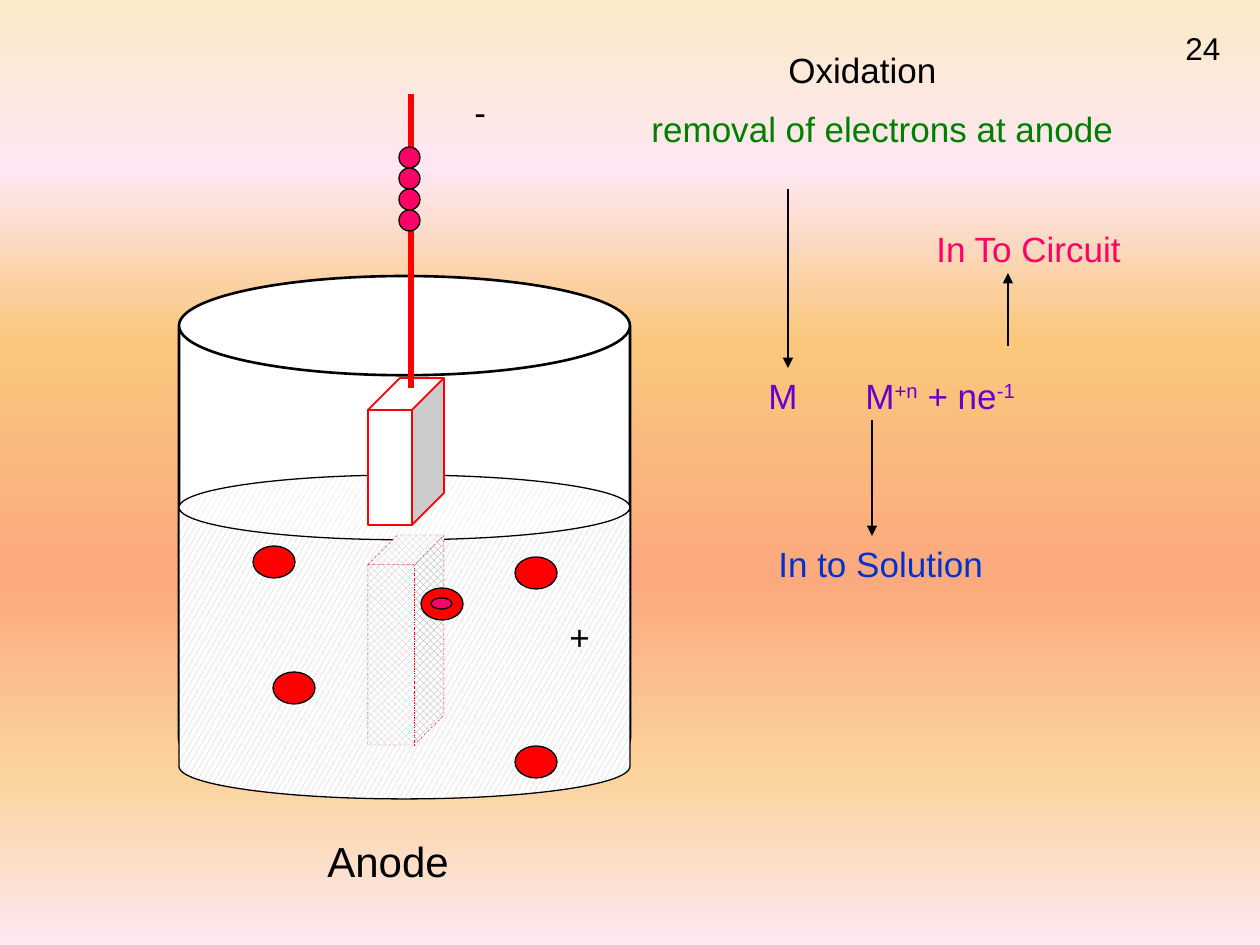
from copy import deepcopy
from dataclasses import dataclass

from pptx import Presentation
from pptx.dml.color import RGBColor
from pptx.enum.dml import MSO_LINE, MSO_PATTERN
from pptx.enum.shapes import MSO_CONNECTOR, MSO_SHAPE
from pptx.enum.text import MSO_ANCHOR, MSO_AUTO_SIZE, PP_ALIGN
from pptx.oxml.ns import qn
from pptx.util import Emu, Pt
from lxml.etree import SubElement


@dataclass(frozen=True)
class Theme:
    font: str = "Arial"
    page: int = 18
    body: int = 20
    large: int = 24
    black: str = "000000"
    white: str = "FFFFFF"
    grey: str = "C0C0C0"
    red: str = "FF0000"
    pink: str = "FF0066"
    green: str = "008000"
    purple: str = "6600CC"
    blue: str = "0033CC"
    sky: tuple = ((0, "FBEAC7"), (18, "FEE7F2"), (36, "FAC77D"),
                  (61, "FBA97D"), (82, "FBD49C"), (100, "FEE7F2"))


T = Theme()
PX = 914400 // 126
rgb = RGBColor.from_string

prs = Presentation()
prs.slide_width, prs.slide_height = Emu(1260 * PX), Emu(945 * PX)
slide = prs.slides.add_slide(prs.slide_layouts[5])
shapes = slide.shapes


def solid(kind, box, fill, line=T.black, width=0.75, adj=None, pattern=None):
    """Add an outlined shape; a pattern draws the fill colour on white."""
    shape = shapes.add_shape(kind, *[Emu(v * PX) for v in box])
    shape.shadow.inherit = False
    if pattern is None:
        shape.fill.solid()
        shape.fill.fore_color.rgb = rgb(fill)
    else:
        shape.fill.patterned()
        shape.fill.pattern = pattern
        shape.fill.fore_color.rgb = rgb(fill)
        shape.fill.back_color.rgb = rgb(T.white)
    shape.line.color.rgb = rgb(line)
    shape.line.width = Pt(width)
    if adj is not None:
        shape.adjustments[0] = adj
    return shape


def link(start, end, color=T.black, width=0.75, arrow=True):
    line = shapes.add_connector(MSO_CONNECTOR.STRAIGHT,
                                *[Emu(v * PX) for v in start + end])
    line.line.color.rgb = rgb(color)
    line.line.width = Pt(width)
    if arrow:
        SubElement(line.line._get_or_add_ln(), qn("a:tailEnd"), type="triangle")
    SubElement(line._element.spPr, qn("a:effectLst"))


# Background
back = slide.background.fill
back.gradient()
back.gradient_angle = 270
stops = slide.element.find(".//" + qn("a:gsLst"))
model = deepcopy(stops[0])
for stop in list(stops):
    stops.remove(stop)
for pos, color in T.sky:
    stop = deepcopy(model)
    stop.set("pos", str(pos * 1000))
    for child in list(stop):
        stop.remove(child)
    SubElement(stop, qn("a:srgbClr"), val=color)
    stops.append(stop)

# Title
title = shapes.title
title.left, title.top, title.width, title.height = [
    Emu(v * PX) for v in (579, 42, 567, 54)]
frame = title.text_frame
frame.auto_size = MSO_AUTO_SIZE.NONE
frame.vertical_anchor = MSO_ANCHOR.TOP
frame.text = "Oxidation"
para = frame.paragraphs[0]
para.alignment = PP_ALIGN.CENTER
para.font.name, para.font.size = T.font, Pt(T.body)
para.font.color.rgb = rgb(T.black)

# Beaker, solution and electrode
solid(MSO_SHAPE.CAN, (179, 276, 451, 512), T.white, width=1.5, adj=0.22)
solid(MSO_SHAPE.CAN, (179, 475, 451, 324), T.grey, adj=0.2,
      pattern=MSO_PATTERN.LARGE_CONFETTI)
solid(MSO_SHAPE.CUBE, (368, 378, 76, 147), T.white, T.red, 1, 0.42)
link((411, 388), (411, 94), T.red, 3, arrow=False)
sunk = solid(MSO_SHAPE.CUBE, (368, 535, 76, 210), T.grey, T.red, 0.25, 0.39,
             MSO_PATTERN.SOLID_DIAMOND)
sunk.line.dash_style = MSO_LINE.DASH_DOT

# Ions, and electrons going up the wire
for x, y in ((421, 588), (515, 557), (253, 546), (273, 672), (515, 746)):
    solid(MSO_SHAPE.OVAL, (x, y, 42, 32), T.red)
solid(MSO_SHAPE.OVAL, (431, 598, 21, 11), T.pink)
for i in range(4):
    solid(MSO_SHAPE.OVAL, (399, 147 + 21 * i, 21, 21), T.pink)

# Reaction arrows
link((788, 189), (788, 368))
link((872, 420), (872, 536))
link((1008, 346), (1008, 273))

# Labels: box, runs (every second one raised), size, colour, wrap, alignment
LEFT, MID = PP_ALIGN.LEFT, PP_ALIGN.CENTER
labels = (
    ((1173, 23, 63, 50), ["24"], T.page, T.black, False, LEFT),
    ((462, 84, 42, 54), ["-"], T.body, T.black, True, LEFT),
    ((557, 609, 42, 54), ["+"], T.body, T.black, True, LEFT),
    ((756, 368, 294, 54), ["M\tM", "+n", " + ne", "-1"], T.body, T.purple,
     True, LEFT),
    ((599, 101, 567, 54), ["removal of electrons at anode"], T.body, T.green,
     True, MID),
    ((766, 536, 284, 55), ["In to Solution"], T.body, T.blue, True, LEFT),
    ((924, 221, 231, 54), ["In To Circuit"], T.body, T.pink, True, LEFT),
    ((315, 829, 149, 64), ["Anode"], T.large, T.black, False, LEFT),
)
for box, runs, size, color, wrap, align in labels:
    frame = shapes.add_textbox(*[Emu(v * PX) for v in box]).text_frame
    frame.word_wrap = wrap
    frame.auto_size = MSO_AUTO_SIZE.SHAPE_TO_FIT_TEXT
    para = frame.paragraphs[0]
    para.alignment = align
    if "\t" in runs[0]:
        tabs = SubElement(para._p.get_or_add_pPr(), qn("a:tabLst"))
        SubElement(tabs, qn("a:tab"), pos=str(97 * PX), algn="l")
    para.font.name, para.font.size = T.font, Pt(size)
    para.font.color.rgb = rgb(color)
    for i, text in enumerate(runs):
        run = para.add_run()
        run.text = text
        if i % 2:
            run._r.get_or_add_rPr().set("baseline", "30000")

prs.save("out.pptx")
